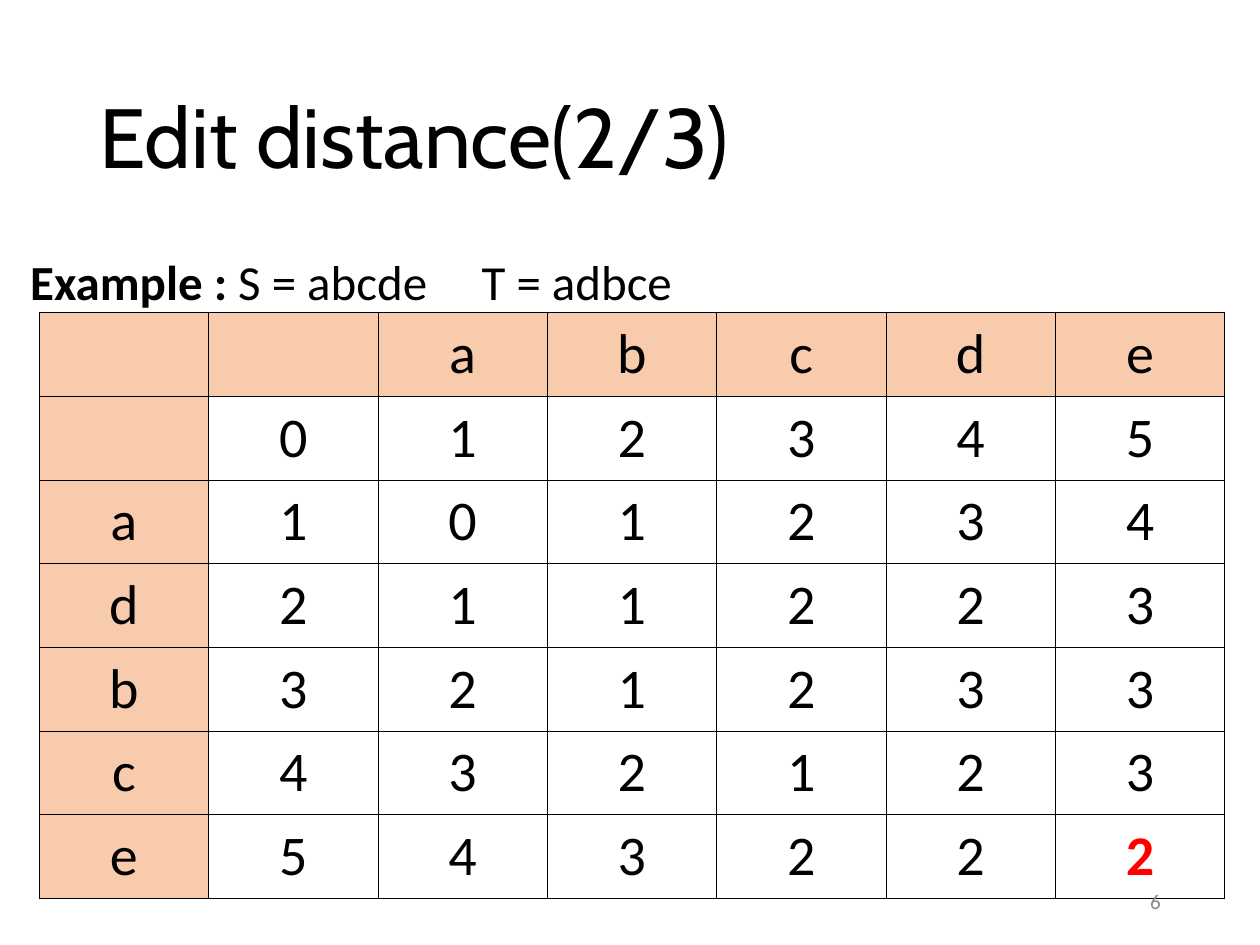
"""Build the edit distance slide with its worked distance matrix."""
from dataclasses import dataclass

from lxml import etree
from pptx import Presentation
from pptx.dml.color import RGBColor
from pptx.enum.text import MSO_ANCHOR, MSO_AUTO_SIZE, PP_ALIGN
from pptx.oxml.ns import qn
from pptx.util import Cm, Pt

MIDDLE, TOP = MSO_ANCHOR.MIDDLE, MSO_ANCHOR.TOP
LEFT, CENTER, RIGHT = PP_ALIGN.LEFT, PP_ALIGN.CENTER, PP_ALIGN.RIGHT
NO_FIT = MSO_AUTO_SIZE.NONE
TITLE_ONLY = 5

COLOURS = {"ink": "000000", "label": "F8CBAD", "result": "FF0000", "number": "898989"}
FORMATS = {
    "title": {"name": "Cabin", "size": Pt(48), "bold": False},
    "bold": {"name": "Calibri", "size": Pt(28), "bold": True},
    "body": {"name": "Calibri", "size": Pt(28), "bold": False},
    "cell": {"name": "Calibri", "size": Pt(32), "bold": False},
    "result": {"name": "Calibri", "size": Pt(32), "bold": True},
    "number": {"name": "Calibri", "size": Pt(12), "bold": False},
}
MATRIX = [
    ["", "", "a", "b", "c", "d", "e"],
    ["", "0", "1", "2", "3", "4", "5"],
    ["a", "1", "0", "1", "2", "3", "4"],
    ["d", "2", "1", "1", "2", "2", "3"],
    ["b", "3", "2", "1", "2", "3", "3"],
    ["c", "4", "3", "2", "1", "2", "3"],
    ["e", "5", "4", "3", "2", "2", "2"],
]


@dataclass
class Span:
    text: str
    style: str
    colour: str = "ink"


@dataclass
class Area:
    left: float
    top: float
    width: float
    height: float

    def lengths(self) -> list[Cm]:
        return [Cm(value) for value in (self.left, self.top, self.width, self.height)]


def write_spans(para, spans: list[Span], align: PP_ALIGN) -> None:
    para.alignment = align
    for span in spans:
        run = para.add_run()
        run.text = span.text
        for key, value in FORMATS[span.style].items():
            setattr(run.font, key, value)
        run.font.color.rgb = RGBColor.from_string(COLOURS[span.colour])


def fill_box(box, area: Area, spans: list[Span], align: PP_ALIGN, anchor: MSO_ANCHOR):
    box.left, box.top, box.width, box.height = area.lengths()
    frame = box.text_frame
    settings = {"word_wrap": True, "auto_size": NO_FIT, "vertical_anchor": anchor}
    for key, value in settings.items():
        setattr(frame, key, value)
    para = frame.paragraphs[0]
    write_spans(para, spans, align)
    return para


def add_tab_stop(para, position: Cm) -> None:
    stops = etree.SubElement(para._p.get_or_add_pPr(), qn("a:tabLst"))
    etree.SubElement(stops, qn("a:tab"), pos=str(int(position)), algn="l")


def outline_cell(cell) -> None:
    properties = cell._tc.get_or_add_tcPr()
    for side in ("lnL", "lnR", "lnT", "lnB"):
        line = etree.SubElement(properties, qn(f"a:{side}"), w=str(int(Pt(0.45))))
        fill = etree.SubElement(line, qn("a:solidFill"))
        etree.SubElement(fill, qn("a:srgbClr"), val=COLOURS["ink"])


def add_matrix(page, area: Area, values: list[list[str]]) -> None:
    last = len(values) - 1
    table = page.shapes.add_table(last + 1, len(values[0]), *area.lengths()).table
    table.first_row = table.horz_banding = False
    for row, texts in enumerate(values):
        for column, text in enumerate(texts):
            cell = table.cell(row, column)
            outline_cell(cell)
            if row == 0 or column == 0:
                cell.fill.solid()
                cell.fill.fore_color.rgb = RGBColor.from_string(COLOURS["label"])
            else:
                cell.fill.background()
            cell.vertical_anchor = MIDDLE
            if text:
                is_result = row == last and column == len(texts) - 1
                span = Span(text, "result", "result") if is_result else Span(text, "cell")
                write_spans(cell.text_frame.paragraphs[0], [span], CENTER)


def main() -> None:
    deck = Presentation()
    deck.slide_width, deck.slide_height = Cm(25.4), Cm(19.05)
    page = deck.slides.add_slide(deck.slide_layouts[TITLE_ONLY])

    title = fill_box(page.shapes.title, Area(1.75, 1.01, 21.91, 3.68),
                     [Span("Edit distance(2/3)", "title")], LEFT, MIDDLE)
    title.line_spacing = 0.9

    example_area = Area(0.36, 5.08, 24.66, 13.72)
    example = fill_box(page.shapes.add_textbox(*example_area.lengths()), example_area,
                       [Span("Example :", "bold"), Span(" S = abcde\tT = adbce", "body")],
                       LEFT, TOP)
    example.line_spacing = 0.9
    add_tab_stop(example, Cm(9.1))

    add_matrix(page, Area(0.79, 6.3, 23.9, 11.81), MATRIX)

    number_area = Area(17.93, 17.66, 5.72, 1.01)
    fill_box(page.shapes.add_textbox(*number_area.lengths()), number_area,
             [Span("6", "number", "number")], RIGHT, MIDDLE)
    deck.save("out.pptx")


if __name__ == "__main__":
    main()
